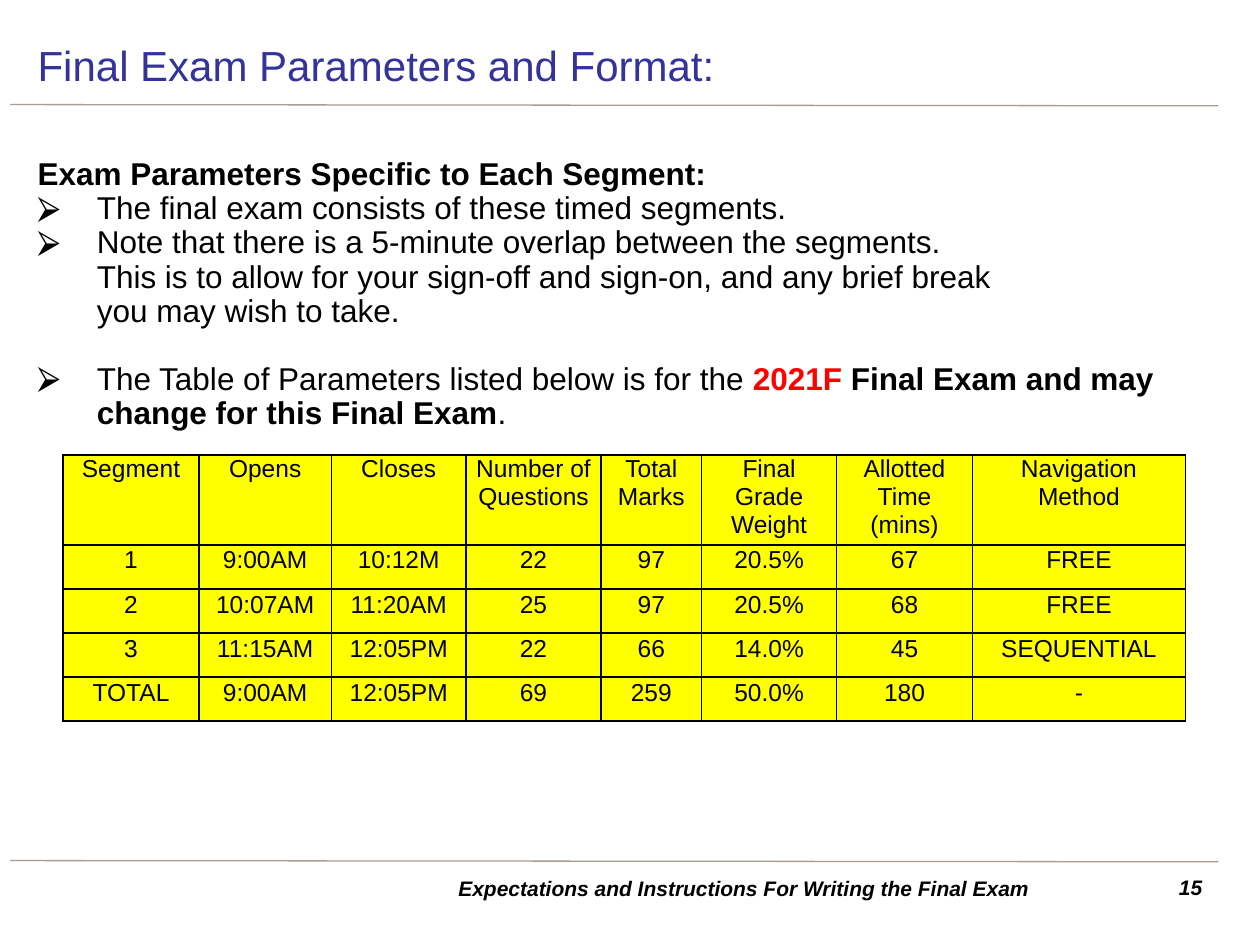
from lxml import etree
from pptx import Presentation
from pptx.dml.color import RGBColor
from pptx.enum.shapes import MSO_CONNECTOR
from pptx.enum.text import MSO_ANCHOR, PP_ALIGN
from pptx.oxml.ns import qn
from pptx.util import Inches, Pt

LEFT, MID, RIGHT = PP_ALIGN.LEFT, PP_ALIGN.CENTER, PP_ALIGN.RIGHT
TOP, CENTRE = MSO_ANCHOR.TOP, MSO_ANCHOR.MIDDLE
FONT = "Arial"
HEX = {"ink": "000000", "title": "333399", "alert": "FF0000",
       "rule": "AA9C8F", "cell": "FFFF00"}

BOLD = {"bold": True}
HEAD = {"size": 24, "color": "title"}
BODY = {"size": 18}
FOOT = {"size": 12, "bold": True, "italic": True}
CELL = {"size": 14}

TITLE = "Final Exam Parameters and Format:"
FOOTER = "Expectations and Instructions For Writing the Final Exam"
PAGE = "15"
LEAD = [("Exam Parameters Specific to Each Segment:", BOLD)]
# Each bullet: space before in points, then its runs
BULLETS = [
    (0, [("The final exam consists of these timed segments.", {})]),
    (0, [("Note that there is a 5-minute overlap between the segments.\n"
          "This is to allow for your sign-off and sign-on, and any brief break\n"
          "you may wish to take.", {})]),
    (19.4, [("The Table of Parameters listed below is for the ", {}),
            ("2021F", {"bold": True, "color": "alert"}),
            (" Final Exam and may change for this Final Exam", BOLD),
            (".", {})]),
]
TABLE = [
    ["Segment", "Opens", "Closes", "Number of Questions", "Total Marks",
     "Final Grade Weight", "Allotted Time (mins)", "Navigation Method"],
    ["1", "9:00AM", "10:12M", "22", "97", "20.5%", "67", "FREE"],
    ["2", "10:07AM", "11:20AM", "25", "97", "20.5%", "68", "FREE"],
    ["3", "11:15AM", "12:05PM", "22", "66", "14.0%", "45", "SEQUENTIAL"],
    ["TOTAL", "9:00AM", "12:05PM", "69", "259", "50.0%", "180", "-"],
]
COLS = [1.08, 1.05, 1.07, 1.07, 0.8, 1.07, 1.08, 1.69]
# Each row: height, line spacing
ROWS = [(0.69, 1.02)] + [(0.35, 1.07)] * 4
EDGE, WIDE = 0.2, 9.45
RULES = [0.83, 6.83]

deck = Presentation()
deck.slide_width, deck.slide_height = Inches(10), Inches(7.5)
slide = deck.slides.add_slide(deck.slide_layouts[6])


def write(para, runs, base, align=LEFT, line=None):
    para.alignment = align
    if line:
        para.line_spacing = line
    for text, extra in runs:
        look = {"name": FONT, "color": "ink", "bold": False, **base, **extra}
        color = RGBColor.from_string(HEX[look.pop("color")])
        look["size"] = Pt(look["size"])
        for spot, part in enumerate(text.split("\n")):
            if spot:
                para.add_line_break()
            run = para.add_run()
            run.text = part
            run.font.color.rgb = color
            for key, value in look.items():
                setattr(run.font, key, value)


def frame(x, y, w, h, anchor=TOP):
    area = slide.shapes.add_textbox(*map(Inches, (x, y, w, h))).text_frame
    area.word_wrap = True
    area.vertical_anchor = anchor
    return area


def bullet(para):
    props = para._p.get_or_add_pPr()
    props.set("marL", str(Inches(0.47)))
    props.set("indent", str(-Inches(0.47)))
    color = etree.SubElement(props, qn("a:buClr"))
    etree.SubElement(color, qn("a:srgbClr"), val=HEX["ink"])
    etree.SubElement(props, qn("a:buFont"), typeface=FONT)
    etree.SubElement(props, qn("a:buChar"), char="⮚")


def border(cell):
    props = cell._tc.get_or_add_tcPr()
    for spot, side in enumerate(("lnL", "lnR", "lnT", "lnB")):
        line = etree.Element(qn("a:" + side), w=str(Pt(1)))
        fill = etree.SubElement(line, qn("a:solidFill"))
        etree.SubElement(fill, qn("a:srgbClr"), val=HEX["ink"])
        props.insert(spot, line)


for y in RULES:
    rule = slide.shapes.add_connector(
        MSO_CONNECTOR.STRAIGHT, *map(Inches, (0.08, y, 9.67, y + 0.01)))
    rule.line.color.rgb = RGBColor.from_string(HEX["rule"])
    rule.line.width = Pt(0.75)
    etree.SubElement(rule._element.spPr, qn("a:effectLst"))

body = frame(EDGE, 0.91, WIDE, 5.83)
body.margin_top = Inches(0.35)
write(body.paragraphs[0], LEAD, BODY, line=0.9)
for gap, runs in BULLETS:
    para = body.add_paragraph()
    bullet(para)
    para.space_before = Pt(gap)
    write(para, runs, BODY, line=0.9)

for box, text, look, align in [
    ((EDGE, 0.24, WIDE, 0.55, CENTRE), TITLE, HEAD, LEFT),
    ((9.06, 6.89, 0.58, 0.31), PAGE, FOOT, RIGHT),
    ((2.95, 6.89, 5.91, 0.31, CENTRE), FOOTER, FOOT, MID),
]:
    write(frame(*box).paragraphs[0], [(text, {})], look, align)

tall = sum(height for height, _ in ROWS)
grid = slide.shapes.add_table(
    len(ROWS), len(COLS), *map(Inches, (0.5, 3.61, sum(COLS), tall))).table
for col, width in zip(grid.columns, COLS):
    col.width = Inches(width)
for row, (height, line), texts in zip(grid.rows, ROWS, TABLE):
    row.height = Inches(height)
    for cell, text in zip(row.cells, texts):
        cell.margin_left = cell.margin_right = Inches(0.07)
        cell.margin_top = cell.margin_bottom = 0
        cell.fill.solid()
        cell.fill.fore_color.rgb = RGBColor.from_string(HEX["cell"])
        border(cell)
        write(cell.text_frame.paragraphs[0], [(text, {})], CELL, MID, line)

deck.save("out.pptx")
